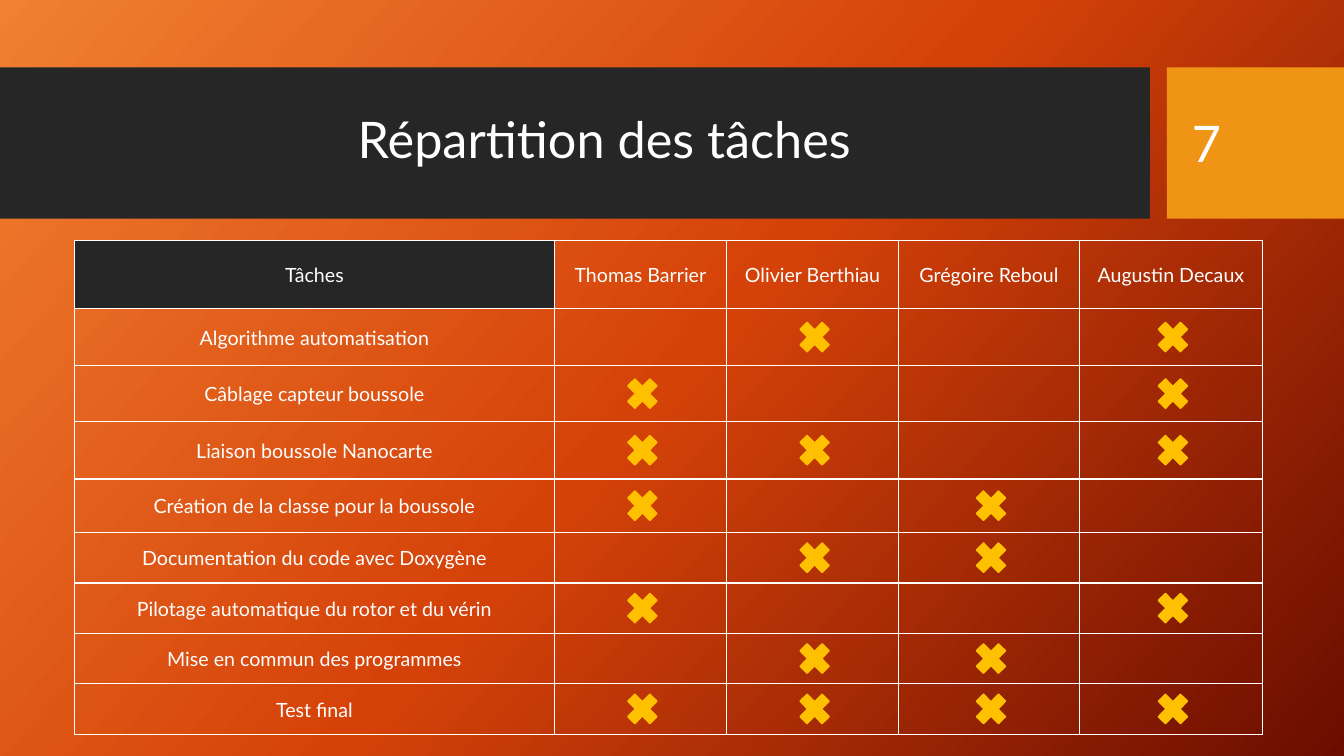
import itertools
from dataclasses import dataclass

import lxml.etree
import pptx
import pptx.dml.color
import pptx.enum.shapes
import pptx.enum.text
import pptx.oxml.ns
import pptx.util

Cm = pptx.util.Cm
Pt = pptx.util.Pt
qn = pptx.oxml.ns.qn
SHAPE = pptx.enum.shapes.MSO_SHAPE
ALIGN = pptx.enum.text.PP_ALIGN
MIDDLE = pptx.enum.text.MSO_ANCHOR.MIDDLE

COLORS = {
    "band": "262626",
    "number": "F09415",
    "text": "FFFFFF",
    "cross": "FFC000",
    "bg_start": "F18031",
    "bg_middle": "D54209",
    "bg_end": "6A0D00",
}
FONT = "Lato"


@dataclass
class Box:
    left: float
    top: float
    width: float
    height: float

    def emu(self) -> tuple:
        return Cm(self.left), Cm(self.top), Cm(self.width), Cm(self.height)


@dataclass
class Task:
    name: str
    height: float
    people: tuple = ()


PEOPLE = ["Thomas Barrier", "Olivier Berthiau", "Grégoire Reboul", "Augustin Decaux"]
COL_WIDTHS = [12.09, 4.34, 4.34, 4.55, 4.62]
HEADER_HEIGHT = 1.7
TASKS = [
    Task("Algorithme automatisation", 1.45, (2, 4)),
    Task("Câblage capteur boussole", 1.4, (1, 4)),
    Task("Liaison boussole Nanocarte", 1.45, (1, 2, 4)),
    Task("Création de la classe pour la boussole", 1.35, (1, 3)),
    Task("Documentation du code avec Doxygène", 1.27, (2, 3)),
    Task("Pilotage automatique du rotor et du vérin", 1.27, (1, 4)),
    Task("Mise en commun des programmes", 1.27, (2, 3)),
    Task("Test final", 1.27, (1, 2, 3, 4)),
]
ROW_HEIGHTS = [HEADER_HEIGHT] + [task.height for task in TASKS]
TABLE = Box(1.88, 6.07, sum(COL_WIDTHS), sum(ROW_HEIGHTS))
CROSS_WIDTH, CROSS_HEIGHT, CROSS_SHIFT = 1.07, 1.09, 0.05


def rgb(name: str) -> pptx.dml.color.RGBColor:
    return pptx.dml.color.RGBColor.from_string(COLORS[name])


def format_paragraph(p, size: int, align) -> None:
    p.alignment = align
    for r in p.runs:
        r.font.size = Pt(size)
        r.font.name = FONT
        r.font.color.rgb = rgb("text")


def paint_background(slide) -> None:
    slide.background.fill.gradient()
    grad = slide._element.xpath(".//a:gradFill")[0]
    stops = grad.find(qn("a:gsLst"))
    for stop in list(stops):
        stops.remove(stop)
    for pos, name in ((0, "bg_start"), (50, "bg_middle"), (100, "bg_end")):
        stop = lxml.etree.SubElement(stops, qn("a:gs"), pos=str(pos * 1000))
        lxml.etree.SubElement(stop, qn("a:srgbClr"), val=COLORS[name])
    grad.find(qn("a:lin")).set("ang", str(42 * 60000))


def add_shape(slide, kind, box: Box, color: str, outlined: bool = False) -> None:
    sp = slide.shapes.add_shape(kind, *box.emu())
    sp.shadow.inherit = False
    sp.fill.solid()
    sp.fill.fore_color.rgb = rgb(color)
    if outlined:
        sp.line.color.rgb = rgb(color)
        sp.line.width = Pt(1)
    else:
        sp.line.fill.background()


def add_text(slide, box: Box, text: str, align, spacing: float = 1.0) -> None:
    tf = slide.shapes.add_textbox(*box.emu()).text_frame
    tf.word_wrap = True
    tf.vertical_anchor = MIDDLE
    tf.text = text
    tf.paragraphs[0].line_spacing = spacing
    format_paragraph(tf.paragraphs[0], 36, align)


def add_borders(cell) -> None:
    tc_pr = cell._tc.get_or_add_tcPr()
    for i, side in enumerate(("lnL", "lnR", "lnT", "lnB")):
        ln = lxml.etree.Element(qn(f"a:{side}"), w=str(Pt(1)))
        fill = lxml.etree.SubElement(ln, qn("a:solidFill"))
        lxml.etree.SubElement(fill, qn("a:srgbClr"), val=COLORS["text"])
        tc_pr.insert(i, ln)


def add_task_table(slide) -> None:
    table = slide.shapes.add_table(len(ROW_HEIGHTS), len(COL_WIDTHS), *TABLE.emu()).table
    table.first_row = False
    table.horz_banding = False
    for col, width in zip(table.columns, COL_WIDTHS):
        col.width = Cm(width)
    for row, height in zip(table.rows, ROW_HEIGHTS):
        row.height = Cm(height)
    for cell in table.iter_cells():
        cell.fill.background()
        cell.vertical_anchor = MIDDLE
        cell.margin_left = cell.margin_right = cell.margin_top = Cm(0.03)
        cell.margin_bottom = 0
        add_borders(cell)
    header = table.cell(0, 0)
    header.fill.solid()
    header.fill.fore_color.rgb = rgb("band")
    labels = [(0, c, text) for c, text in enumerate(["Tâches"] + PEOPLE)]
    labels += [(r, 0, task.name) for r, task in enumerate(TASKS, 1)]
    for r, c, text in labels:
        tf = table.cell(r, c).text_frame
        tf.text = text
        format_paragraph(tf.paragraphs[0], 14, ALIGN.CENTER)


def add_crosses(slide) -> None:
    lefts = list(itertools.accumulate(COL_WIDTHS, initial=TABLE.left))
    tops = list(itertools.accumulate(ROW_HEIGHTS, initial=TABLE.top))
    for row, task in enumerate(TASKS, 1):
        for col in task.people:
            left = lefts[col] + (COL_WIDTHS[col] - CROSS_WIDTH) / 2 + CROSS_SHIFT
            top = tops[row] + (task.height - CROSS_HEIGHT) / 2
            box = Box(left, top, CROSS_WIDTH, CROSS_HEIGHT)
            add_shape(slide, SHAPE.MATH_MULTIPLY, box, "cross", outlined=True)


def main() -> None:
    prs = pptx.Presentation()
    prs.slide_width, prs.slide_height = Cm(33.87), Cm(19.05)
    slide = prs.slides.add_slide(prs.slide_layouts[6])
    paint_background(slide)
    add_shape(slide, SHAPE.RECTANGLE, Box(0, 1.7, 28.98, 3.81), "band")
    add_shape(slide, SHAPE.RECTANGLE, Box(29.41, 1.7, 4.46, 3.81), "number")
    add_text(slide, Box(1.88, 2.08, 26.7, 3), "Répartition des tâches", ALIGN.CENTER, 0.9)
    add_task_table(slide)
    add_crosses(slide)
    add_text(slide, Box(29.79, 2.08, 3.2, 3.02), "7", ALIGN.LEFT)
    prs.save("out.pptx")


if __name__ == "__main__":
    main()
